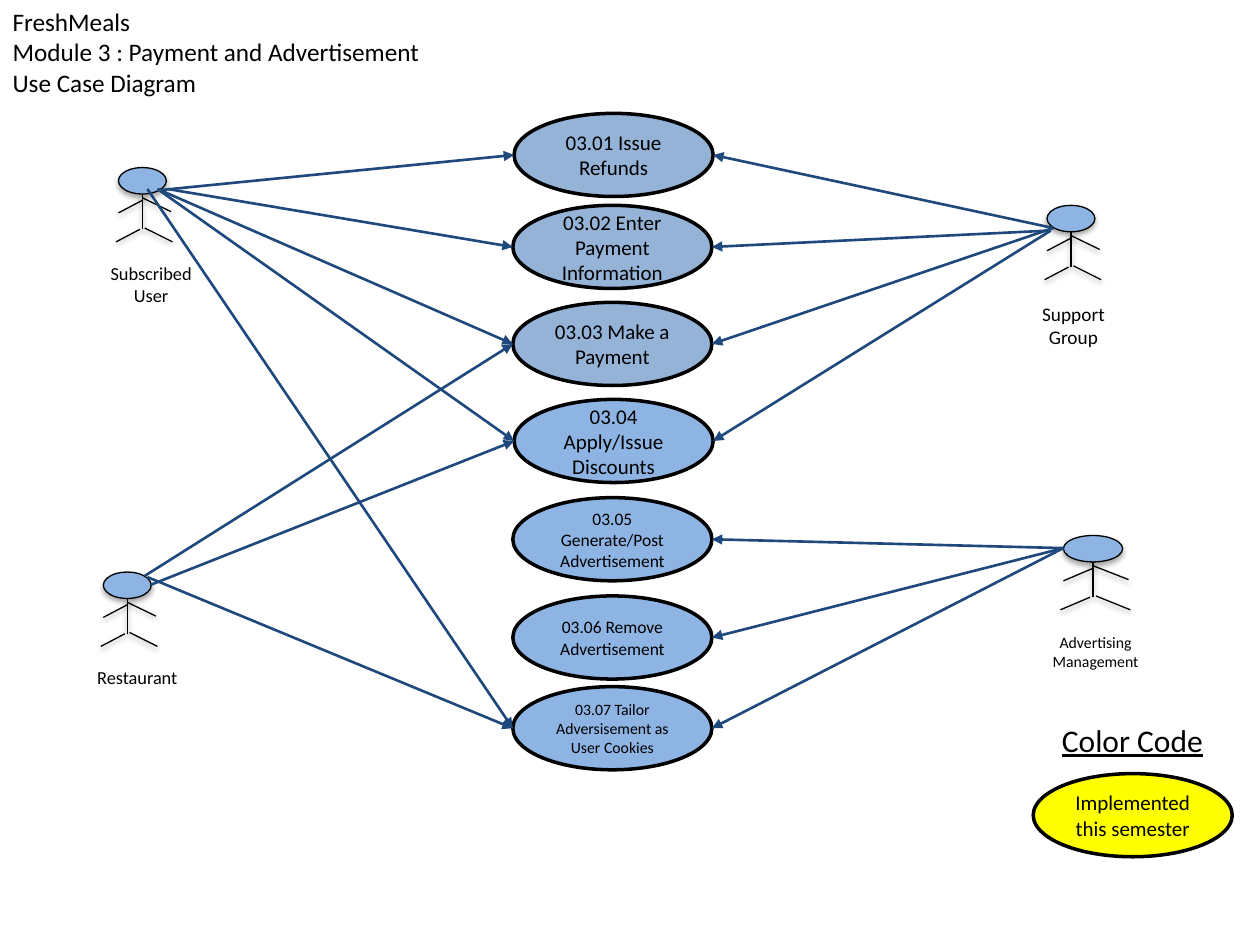
from dataclasses import dataclass
from typing import Any

from lxml.etree import SubElement
from pptx import Presentation
from pptx.dml.color import RGBColor
from pptx.enum.shapes import MSO_CONNECTOR, MSO_SHAPE
from pptx.enum.text import MSO_ANCHOR, MSO_AUTO_SIZE, PP_ALIGN
from pptx.oxml.ns import qn
from pptx.util import Inches, Pt

COLORS = {
    "black": "000000",
    "steel": "95B3D7",
    "sky": "8EB4E3",
    "yellow": "FFFF00",
    "navy": "1F497D",
}
FONT = "Calibri"

presentation = Presentation()
presentation.slide_width = Inches(10)
presentation.slide_height = Inches(7.5)
COLUMN = presentation.slide_width / 100
ROW = presentation.slide_height / 75

OVAL_COLUMNS, OVAL_ROWS = 15.8, 6.6
HEAD_ROWS = 2.1
LIMBS = [
    (0, 2.1, 0, 4.9),
    (0, 2.6, -0.5, 3.6),
    (-0.05, 4.9, -0.55, 5.9),
    (0, 2.4, 0.6, 3.5),
    (0.05, 4.8, 0.63, 5.9),
]


@dataclass(frozen=True)
class Oval:
    text: str
    column: float
    row: float
    size: float
    fill: str


@dataclass(frozen=True)
class Label:
    text: str
    column: float
    row: float
    columns: float
    rows: float
    size: float


@dataclass(frozen=True)
class Actor:
    column: float
    row: float
    head_columns: float
    label: Label


@dataclass(frozen=True)
class Association:
    column: float
    row: float
    use_case: int


USE_CASES = [
    Oval("03.01 Issue Refunds", 40.8, 9, 12, "steel"),
    Oval("03.02 Enter Payment Information", 40.7, 16.3, 12, "steel"),
    Oval("03.03 Make a Payment", 40.7, 24, 12, "steel"),
    Oval("03.04 Apply/Issue Discounts", 40.8, 31.7, 12, "sky"),
    Oval("03.05\nGenerate/Post Advertisement", 40.7, 39.5, 10, "sky"),
    Oval("03.06 Remove Advertisement", 40.7, 47.3, 10, "sky"),
    Oval("03.07 Tailor Adversisement as User Cookies", 40.7, 54.5, 9, "sky"),
]
LEGEND = Oval("Implemented this semester", 82, 61.4, 12, "yellow")
LEGEND_TITLE = Label("Color Code", 83.3, 56.7, 13.3, 4, 18)

ACTORS = [
    Actor(9.4, 13.3, 3.8, Label("Subscribed User", 7.5, 20.3, 9, 4.5, 10.5)),
    Actor(83.1, 16.3, 3.8, Label("Support Group", 81.4, 23.5, 7.6, 4.7, 11)),
    Actor(8.2, 45.4, 3.8, Label("Restaurant", 6.4, 52.4, 9, 2.8, 10.5)),
    Actor(84.4, 42.5, 4.7, Label("Advertising Management", 82.3, 49.7, 9.3, 4, 9)),
]

ASSOCIATIONS = [
    Association(12.6, 15.1, 0),
    Association(13.3, 15, 1),
    Association(12.5, 15, 2),
    Association(12.5, 15, 3),
    Association(11.7, 15, 6),
    Association(11.5, 45.7, 2),
    Association(12, 46.4, 3),
    Association(11.7, 45.8, 6),
    Association(83.6, 18.1, 0),
    Association(83.3, 18.3, 1),
    Association(83.6, 18.1, 2),
    Association(83.4, 18.3, 3),
    Association(84.4, 43.5, 4),
    Association(84.4, 43.5, 5),
    Association(84.4, 43.5, 6),
]


def place(column: float, row: float, columns: float, rows: float) -> tuple[int, ...]:
    return tuple(round(n) for n in (column * COLUMN, row * ROW, columns * COLUMN, rows * ROW))


def format_text(frame: Any, text: str, size: float, align: PP_ALIGN) -> None:
    frame.text = text
    for paragraph in frame.paragraphs:
        paragraph.alignment = align
        paragraph.font.name = FONT
        paragraph.font.size = Pt(size)
        paragraph.font.color.rgb = RGBColor.from_string(COLORS["black"])


def add_ellipse(shapes: Any, box: tuple[int, ...], fill: str, line_width: float) -> Any:
    shape = shapes.add_shape(MSO_SHAPE.OVAL, *box)
    shape.shadow.inherit = False
    shape.fill.solid()
    shape.fill.fore_color.rgb = RGBColor.from_string(COLORS[fill])
    shape.line.color.rgb = RGBColor.from_string(COLORS["black"])
    shape.line.width = Pt(line_width)
    return shape


def add_line(shapes: Any, ends: tuple[int, ...], color: str, width: float) -> Any:
    line = shapes.add_connector(MSO_CONNECTOR.STRAIGHT, *ends)
    line.line.color.rgb = RGBColor.from_string(COLORS[color])
    line.line.width = Pt(width)
    SubElement(line._element.spPr, qn("a:effectLst"))
    return line


def add_shadow(shape: Any, distance: float, opacity: int) -> None:
    effects = shape._element.spPr.find(qn("a:effectLst"))
    shadow = SubElement(effects, qn("a:outerShdw"), blurRad=str(Pt(3.1)),
                        dist=str(Pt(distance)), dir="5400000", rotWithShape="0")
    color = SubElement(shadow, qn("a:srgbClr"), val=COLORS["black"])
    SubElement(color, qn("a:alpha"), val=str(opacity * 1000))


def add_oval(shapes: Any, oval: Oval) -> None:
    box = place(oval.column, oval.row, OVAL_COLUMNS, OVAL_ROWS)
    shape = add_ellipse(shapes, box, oval.fill, 2)
    shape.text_frame.vertical_anchor = MSO_ANCHOR.MIDDLE
    format_text(shape.text_frame, oval.text, oval.size, PP_ALIGN.CENTER)


def add_label(shapes: Any, label: Label, align: PP_ALIGN, wrap: bool = True) -> Any:
    box = shapes.add_textbox(*place(label.column, label.row, label.columns, label.rows))
    box.text_frame.word_wrap = wrap
    format_text(box.text_frame, label.text, label.size, align)
    return box


def add_actor(shapes: Any, actor: Actor) -> None:
    members = shapes.add_group_shape().shapes
    width = actor.head_columns
    head = add_ellipse(members, place(actor.column, actor.row, width, HEAD_ROWS), "sky", 0.75)
    add_shadow(head, 1.8, 35)
    center = actor.column + width / 2
    for start_x, start_y, end_x, end_y in LIMBS:
        ends = place(center + start_x * width, actor.row + start_y,
                     center + end_x * width, actor.row + end_y)
        add_shadow(add_line(members, ends, "black", 0.75), 1.6, 38)
    add_label(members, actor.label, PP_ALIGN.CENTER)


def add_association(shapes: Any, association: Association) -> None:
    target = USE_CASES[association.use_case]
    from_left = association.column < target.column
    end_column = target.column if from_left else target.column + OVAL_COLUMNS
    ends = place(association.column, association.row, end_column, target.row + OVAL_ROWS / 2)
    arrow = add_line(shapes, ends, "navy", 1.5)
    SubElement(arrow.line._get_or_add_ln(), qn("a:tailEnd"), type="triangle")


slide = presentation.slides.add_slide(presentation.slide_layouts[5])
title = slide.shapes.title
title.left, title.top, title.width, title.height = place(0, 0, 43.3, 8.2)
title.text_frame.auto_size = MSO_AUTO_SIZE.NONE
title.text_frame.vertical_anchor = MSO_ANCHOR.TOP
title_text = "FreshMeals\vModule 3 : Payment and Advertisement\vUse Case Diagram"
format_text(title.text_frame, title_text, 14.4, PP_ALIGN.LEFT)

for oval in [*USE_CASES, LEGEND]:
    add_oval(slide.shapes, oval)
legend_title = add_label(slide.shapes, LEGEND_TITLE, PP_ALIGN.LEFT, wrap=False)
legend_title.text_frame.paragraphs[0].font.underline = True
for actor in ACTORS:
    add_actor(slide.shapes, actor)
for association in ASSOCIATIONS:
    add_association(slide.shapes, association)

presentation.save("out.pptx")
